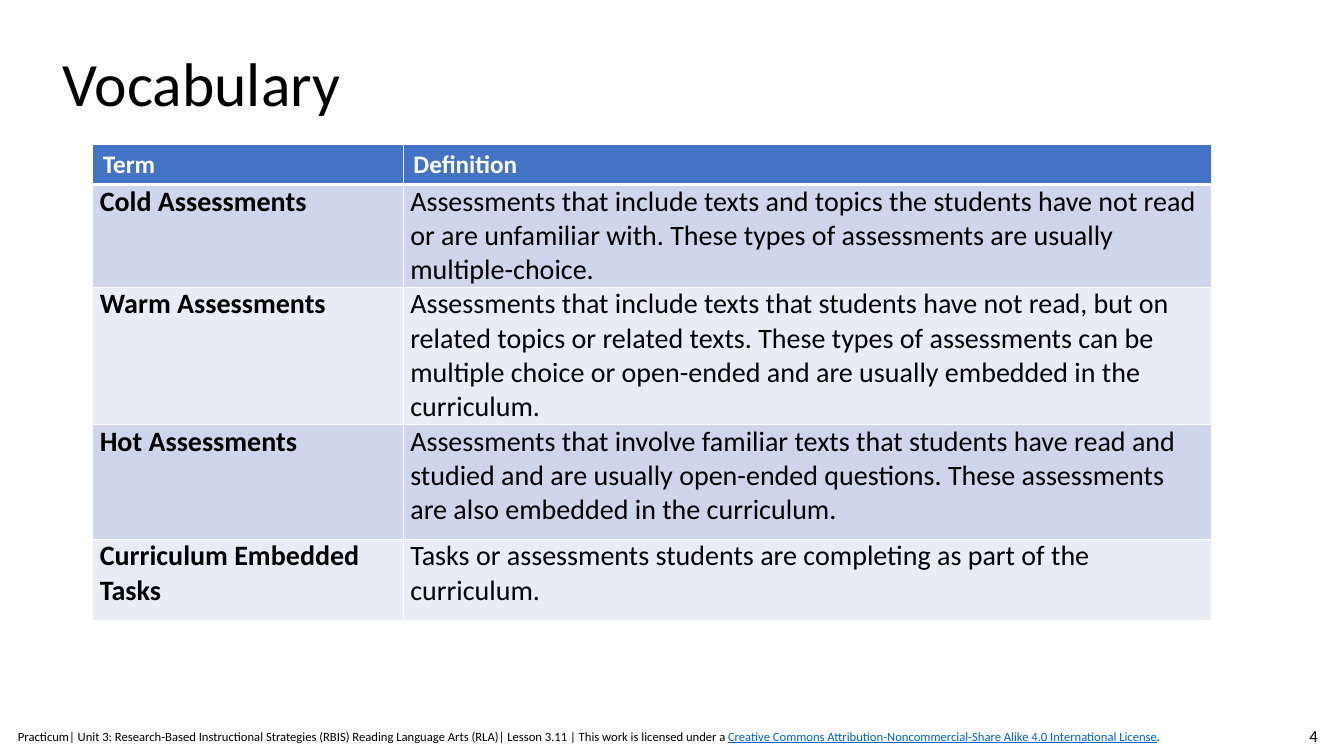
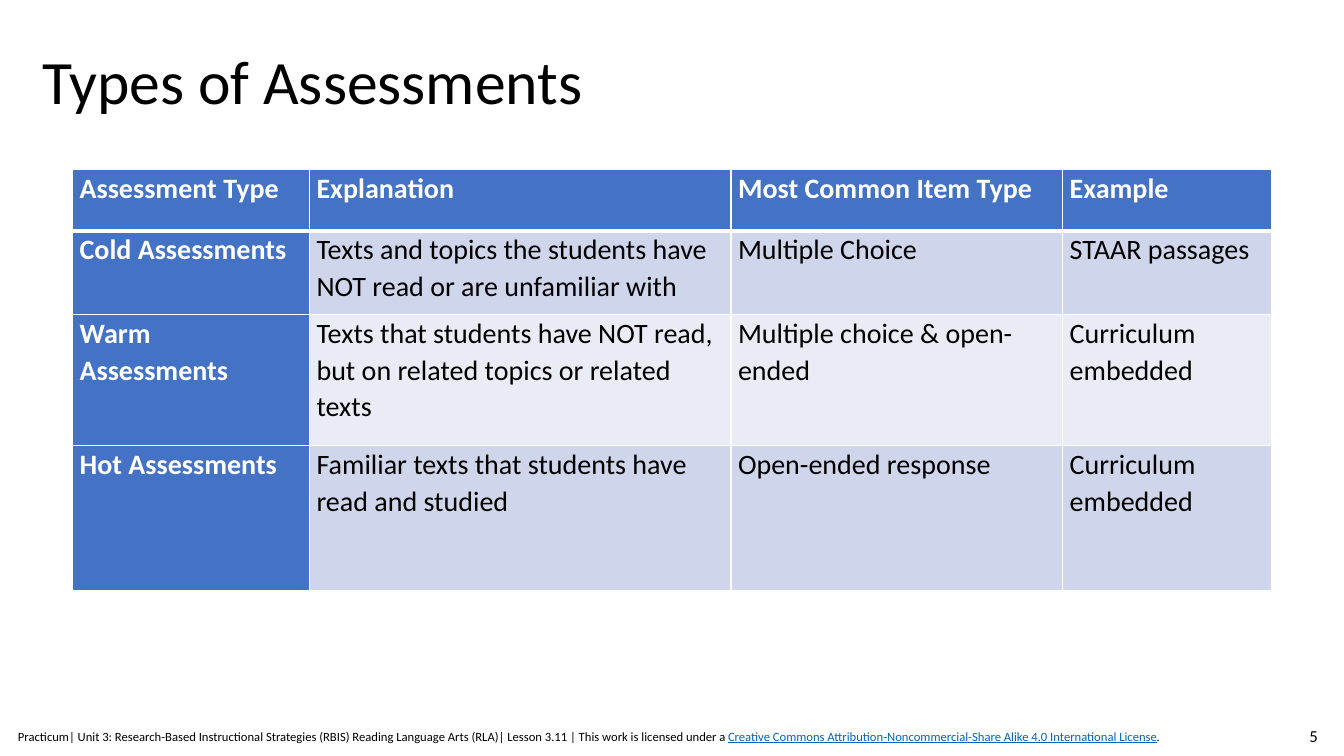
from lxml import etree
from pptx import Presentation
from pptx.dml.color import RGBColor
from pptx.enum import text
from pptx.oxml.ns import qn
from pptx.util import Inches, Pt

FONT = "Calibri"
BLACK = RGBColor(0x00, 0x00, 0x00)
WHITE = RGBColor(0xFF, 0xFF, 0xFF)
BLUE = RGBColor(0x44, 0x72, 0xC4)
LINK = RGBColor(0x05, 0x63, 0xC1)
BANDS = (RGBColor(0xCF, 0xD5, 0xEA), RGBColor(0xE9, 0xEB, 0xF5))

FOOTER = (
    ("Practicum| Unit 3: Research-Based Instructional Strategies (RBIS) Reading "
     "Language Arts (RLA)| Lesson 3.11 | This work is licensed under a ", BLACK, False),
    ("Creative Commons Attribution-Noncommercial-Share Alike 4.0 International License",
     LINK, True),
    (".", BLACK, False),
)

SLIDES = (
    {
        "number": "4",
        "title": "Vocabulary",
        "title_box": (0.52, 0.13, 11.5, 1.45),
        "origin": (0.92, 1.43),
        "cols": (3.08, 8.02),
        "rows": (0.39, 1.02, 1.36, 1.14, 0.81),
        "header_size": 18,
        "header_margins": (0.1, 0.05),
        "spacing": 1.0,
        "blue_first_col": False,
        "cells": (
            ("Term", "Definition"),
            ("Cold Assessments",
             "Assessments that include texts and topics the students have not read or are "
             "unfamiliar with. These types of assessments are usually multiple-choice."),
            ("Warm Assessments",
             "Assessments that include texts that students have not read, but on related "
             "topics or related texts. These types of assessments can be multiple choice or "
             "open-ended and are usually embedded in the curriculum."),
            ("Hot Assessments",
             "Assessments that involve familiar texts that students have read and studied and "
             "are usually open-ended questions. These assessments are also embedded in the "
             "curriculum."),
            ("Curriculum Embedded Tasks",
             "Tasks or assessments students are completing as part of the curriculum."),
        ),
    },
    {
        "number": "5",
        "title": "Types of Assessments",
        "title_box": (0.32, 0.26, 11.5, 1.15),
        "origin": (0.72, 1.68),
        "cols": (2.35, 4.18, 3.29, 2.07),
        "rows": (0.61, 0.83, 1.3, 1.44),
        "header_size": 20,
        "header_margins": (0.07, 0),
        "spacing": 1.07,
        "blue_first_col": True,
        "cells": (
            ("Assessment Type", "Explanation", "Most Common Item Type", "Example"),
            ("Cold Assessments",
             "Texts and topics the students have NOT read or are unfamiliar with",
             "Multiple Choice", "STAAR passages"),
            ("Warm Assessments",
             "Texts that students have NOT read, but on related topics or related texts",
             "Multiple choice & open-ended", "Curriculum embedded"),
            ("Hot Assessments",
             "Familiar texts that students have read and studied",
             "Open-ended response", "Curriculum embedded"),
        ),
    },
)


def add_run(p, words, size, color=BLACK, bold=False, underline=False):
    r = p.add_run()
    r.text = words
    r.font.name = FONT
    r.font.size = Pt(size)
    r.font.color.rgb = color
    r.font.bold = bold
    r.font.underline = underline


def add_box(s, box, anchor=text.MSO_ANCHOR.MIDDLE):
    tf = s.shapes.add_textbox(*map(Inches, box)).text_frame
    tf.word_wrap = True
    tf.vertical_anchor = anchor
    return tf


def set_borders(cell, widths):
    tc_pr = cell._tc.get_or_add_tcPr()
    for i, (side, width) in enumerate(widths.items()):
        ln = etree.Element(qn("a:ln" + side), w=str(Pt(width)))
        fill = etree.SubElement(ln, qn("a:solidFill"))
        etree.SubElement(fill, qn("a:srgbClr"), val=str(WHITE))
        tc_pr.insert(i, ln)


def fill_cell(cell, words, row, col, data):
    header = row == 0
    blue = header or (col == 0 and data["blue_first_col"])
    cell.fill.solid()
    cell.fill.fore_color.rgb = BLUE if blue else BANDS[(row - 1) % 2]
    side, top = data["header_margins"] if header else (0.07, 0)
    cell.margin_left = cell.margin_right = Inches(side)
    cell.margin_top = cell.margin_bottom = Inches(top)
    set_borders(cell, {"L": 1, "R": 1, "T": 3 if row == 1 else 1, "B": 3 if header else 1})
    p = cell.text_frame.paragraphs[0]
    p.line_spacing = data["spacing"]
    add_run(p, words, data["header_size"] if header else 20,
            WHITE if blue else BLACK, bold=header or col == 0)


def add_grid(s, data):
    cols, rows = data["cols"], data["rows"]
    box = (*data["origin"], sum(cols), sum(rows))
    table = s.shapes.add_table(len(rows), len(cols), *map(Inches, box)).table
    table.first_col = data["blue_first_col"]
    for column, width in zip(table.columns, cols):
        column.width = Inches(width)
    for i, (height, line) in enumerate(zip(rows, data["cells"])):
        table.rows[i].height = Inches(height)
        for j, words in enumerate(line):
            fill_cell(table.cell(i, j), words, i, j, data)


def add_title(s, data):
    p = add_box(s, data["title_box"]).paragraphs[0]
    p.line_spacing = 0.9
    add_run(p, data["title"], 44)


def add_footer(s, number):
    p = add_box(s, (10.17, 7.1, 3, 0.4)).paragraphs[0]
    p.alignment = text.PP_ALIGN.RIGHT
    add_run(p, number, 12)
    tf = add_box(s, (0.08, 7.18, 11.74, 0.25), text.MSO_ANCHOR.TOP)
    tf.auto_size = text.MSO_AUTO_SIZE.SHAPE_TO_FIT_TEXT
    for words, color, underline in FOOTER:
        add_run(tf.paragraphs[0], words, 9, color, underline=underline)


def main():
    prs = Presentation()
    prs.slide_width, prs.slide_height = Inches(13.33), Inches(7.5)
    for data in SLIDES:
        s = prs.slides.add_slide(prs.slide_layouts[6])
        add_title(s, data)
        add_grid(s, data)
        add_footer(s, data["number"])
    prs.save("out.pptx")


if __name__ == "__main__":
    main()
